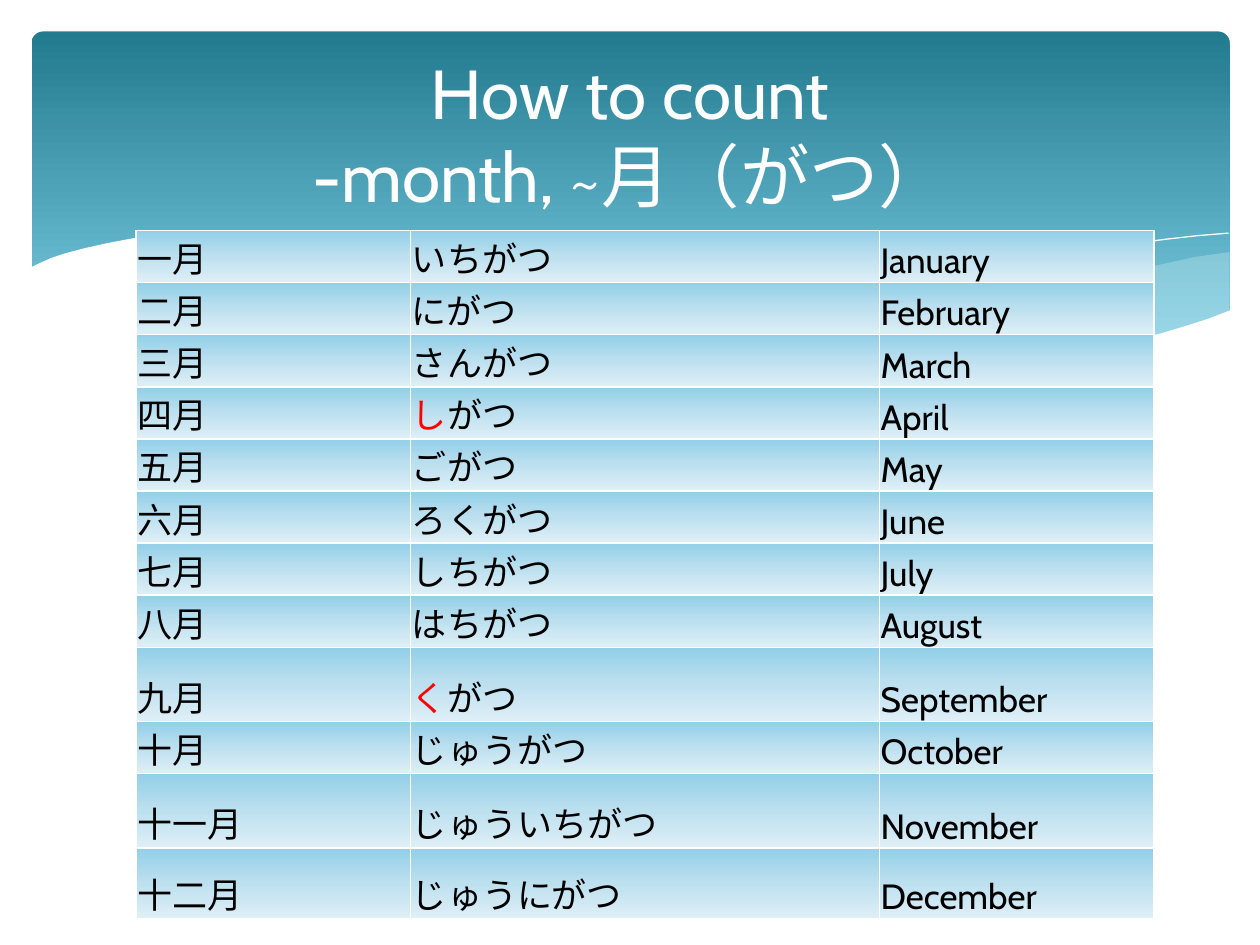
from lxml import etree
from pptx import Presentation
from pptx.dml.color import RGBColor
from pptx.enum import shapes, text
from pptx.oxml import parse_xml
from pptx.oxml.ns import nsdecls, qn
from pptx.util import Inches, Pt

FONT = "Cabin"
COLORS = {"white": "FFFFFF", "black": "000000", "red": "FF0000", "mist": "DEF5FA"}
BANNER_STOPS = [(0, "227A8F"), (90, "7ACBE0")]
CELL_STOPS = [(0, "92CFE8"), (50, "BDE0EF"), (100, "DFEFF6")]

RIGHT_WAVE = [(9.76, 2), (9.48, 2.04), (9.21, 2.1), (8.91, 2.16), (8.61, 2.23),
              (8.05, 2.37), (7.53, 2.48), (7.06, 2.57), (6.61, 2.65), (6.91, 2.69),
              (7.19, 2.72), (7.45, 2.75), (7.69, 2.77), (8.03, 2.78), (8.35, 2.77),
              (8.63, 2.75), (8.89, 2.72), (9.13, 2.67), (9.35, 2.62), (9.49, 2.57),
              (9.76, 2.47)]
MIDDLE_WAVE = [(8.93, 2.73), (8.66, 2.69), (8.07, 2.6), (7.41, 2.47), (6.68, 2.31),
               (6.29, 2.22), (5.98, 2.14), (5.69, 2.08), (5.41, 2.03), (5.14, 1.98),
               (4.89, 1.94), (4.42, 1.89), (3.99, 1.86), (3.61, 1.85), (3.28, 1.87),
               (2.86, 1.91), (3.23, 1.96), (3.62, 2.03), (4.04, 2.11), (4.49, 2.22),
               (4.91, 2.32), (5.3, 2.4), (5.84, 2.52), (6.18, 2.58), (6.5, 2.64),
               (6.95, 2.7), (7.36, 2.75), (7.73, 2.77), (8.07, 2.78), (8.38, 2.78),
               (8.67, 2.76)]
LEFT_CURVE = [(3.09, 1.95), (3.28, 1.92), (3.63, 1.89), (4.01, 1.87), (4.33, 1.87),
              (4.69, 1.89), (5.1, 1.92), (5.56, 1.97), (6.08, 2.04), (6.65, 2.13),
              (7.27, 2.26), (7.95, 2.41), (8.31, 2.51), (8.69, 2.61), (9.07, 2.72)]
RIGHT_CURVE = [(6.13, 2.57), (6.53, 2.46), (6.95, 2.35), (7.48, 2.23), (8.06, 2.1),
               (8.66, 1.99), (8.95, 1.94), (9.24, 1.9), (9.51, 1.87), (9.75, 1.85)]
WHITE_WAVE = [(9.77, 2.46), (9.59, 2.53), (9.4, 2.59), (9.2, 2.65), (8.99, 2.69),
              (8.75, 2.73), (8.5, 2.75), (8.09, 2.77), (7.78, 2.76), (7.44, 2.74),
              (7.08, 2.7), (6.68, 2.65), (6.26, 2.58), (5.79, 2.5), (5.29, 2.39),
              (4.75, 2.27), (4.18, 2.13), (3.65, 2.02), (3.16, 1.94), (2.71, 1.88),
              (2.3, 1.85), (1.93, 1.84), (1.61, 1.84), (1.32, 1.86), (1.06, 1.89),
              (0.85, 1.93), (0.67, 1.97), (0.52, 2.01), (0.4, 2.05), (0.29, 2.1),
              (0.23, 2.13), (0.23, 3.29), (9.77, 3.29)]

# A bar separates the irregular start of a reading, shown in red, from its end.
MONTHS = [("一月", "いちがつ", "January"), ("二月", "にがつ", "February"),
          ("三月", "さんがつ", "March"), ("四月", "し|がつ", "April"),
          ("五月", "ごがつ", "May"), ("六月", "ろくがつ", "June"),
          ("七月", "しちがつ", "July"), ("八月", "はちがつ", "August"),
          ("九月", "く|がつ", "September"), ("十月", "じゅうがつ", "October"),
          ("十一月", "じゅういちがつ", "November"), ("十二月", "じゅうにがつ", "December")]
COL_WIDTHS = [2.18, 3.72, 2.18]
ROW_HEIGHT = 0.39
TALL_ROWS = {8: 0.59, 10: 0.59, 11: 0.56}


def rgb(name):
    return RGBColor.from_string(COLORS[name])


def gradient(stops):
    """Return a gradFill element running from top to bottom."""
    gs = "".join(f'<a:gs pos="{pos * 1000}"><a:srgbClr val="{c}"/></a:gs>' for pos, c in stops)
    return parse_xml(f'<a:gradFill {nsdecls("a")} rotWithShape="1"><a:gsLst>{gs}</a:gsLst>'
                     '<a:lin ang="5400000" scaled="0"/></a:gradFill>')


def add_banner(s):
    sp = s.shapes.add_shape(shapes.MSO_SHAPE.ROUNDED_RECTANGLE, Inches(0.25), Inches(0.25),
                            Inches(9.51), Inches(2.7))
    sp.adjustments[0] = 0.034
    sp.shadow.inherit = False
    sp.line.fill.background()
    sp._element.spPr.find(qn("a:prstGeom")).addnext(gradient(BANNER_STOPS))


def add_outline(s, points, closed):
    start, *rest = [(Inches(x), Inches(y)) for x, y in points]
    builder = s.shapes.build_freeform(*start)
    builder.add_line_segments(rest, close=closed)
    sp = builder.convert_to_shape()
    sp.shadow.inherit = False
    return sp


def add_wave(s, points, color, opacity=100):
    sp = add_outline(s, points, True)
    sp.line.fill.background()
    sp.fill.solid()
    sp.fill.fore_color.rgb = rgb(color)
    if opacity < 100:
        clr = sp._element.spPr.find(".//" + qn("a:srgbClr"))
        etree.SubElement(clr, qn("a:alpha"), val=str(opacity * 1000))


def add_curve(s, points):
    sp = add_outline(s, points, False)
    sp.fill.background()
    sp.line.color.rgb = rgb("white")
    sp.line.width = Pt(0)


def format_run(r, size, color):
    for name, value in {"name": FONT, "size": Pt(size)}.items():
        setattr(r.font, name, value)
    r.font.color.rgb = rgb(color)


def fill_cell(cell, content):
    margin = Inches(0.01)
    style = {"margin_left": margin, "margin_right": margin, "margin_top": margin,
             "margin_bottom": 0, "vertical_anchor": text.MSO_ANCHOR.BOTTOM}
    for name, value in style.items():
        setattr(cell, name, value)
    irregular, _, regular = content.rpartition("|")
    p = cell.text_frame.paragraphs[0]
    for part, color in ((irregular, "red"), (regular, "black")):
        if part:
            r = p.add_run()
            r.text = part
            format_run(r, 20, color)
    tcPr = cell._tc.get_or_add_tcPr()
    for side in "LRTB":
        tcPr.append(parse_xml(
            f'<a:ln{side} {nsdecls("a")} w="12700"><a:solidFill>'
            f'<a:srgbClr val="{COLORS["white"]}"/></a:solidFill></a:ln{side}>'))
    tcPr.append(gradient(CELL_STOPS))


def add_month_table(s):
    heights = [TALL_ROWS.get(i, ROW_HEIGHT) for i in range(len(MONTHS))]
    table = s.shapes.add_table(len(MONTHS), len(COL_WIDTHS), Inches(1.08), Inches(1.83),
                               Inches(sum(COL_WIDTHS)), Inches(sum(heights))).table
    table.first_row = table.horz_banding = False
    for col, width in zip(table.columns, COL_WIDTHS):
        col.width = Inches(width)
    for row, height, month in zip(table.rows, heights, MONTHS):
        row.height = Inches(height)
        for cell, content in zip(row.cells, month):
            fill_cell(cell, content)


def set_title(s):
    title = s.shapes.title
    box = {"left": 0.5, "top": 0.37, "width": 9, "height": 1.37}
    for name, value in box.items():
        setattr(title, name, Inches(value))
    tf = title.text_frame
    tf.word_wrap = True
    tf.vertical_anchor = text.MSO_ANCHOR.MIDDLE
    tf.text = "How to count\v-month, ~月（がつ）"
    p = tf.paragraphs[0]
    p.alignment = text.PP_ALIGN.CENTER
    for r in p.runs:
        format_run(r, 39.6, "white")
    s.shapes._spTree.append(title._element)  # in front of the banner


def main():
    prs = Presentation()
    prs.slide_width, prs.slide_height = Inches(10), Inches(7.5)
    s = prs.slides.add_slide(prs.slide_layouts[5])
    add_banner(s)
    add_wave(s, RIGHT_WAVE, "mist", 29)
    add_wave(s, MIDDLE_WAVE, "mist", 40)
    add_curve(s, LEFT_CURVE)
    add_curve(s, RIGHT_CURVE)
    add_wave(s, WHITE_WAVE, "white")
    add_month_table(s)
    set_title(s)
    prs.save("out.pptx")


if __name__ == "__main__":
    main()
